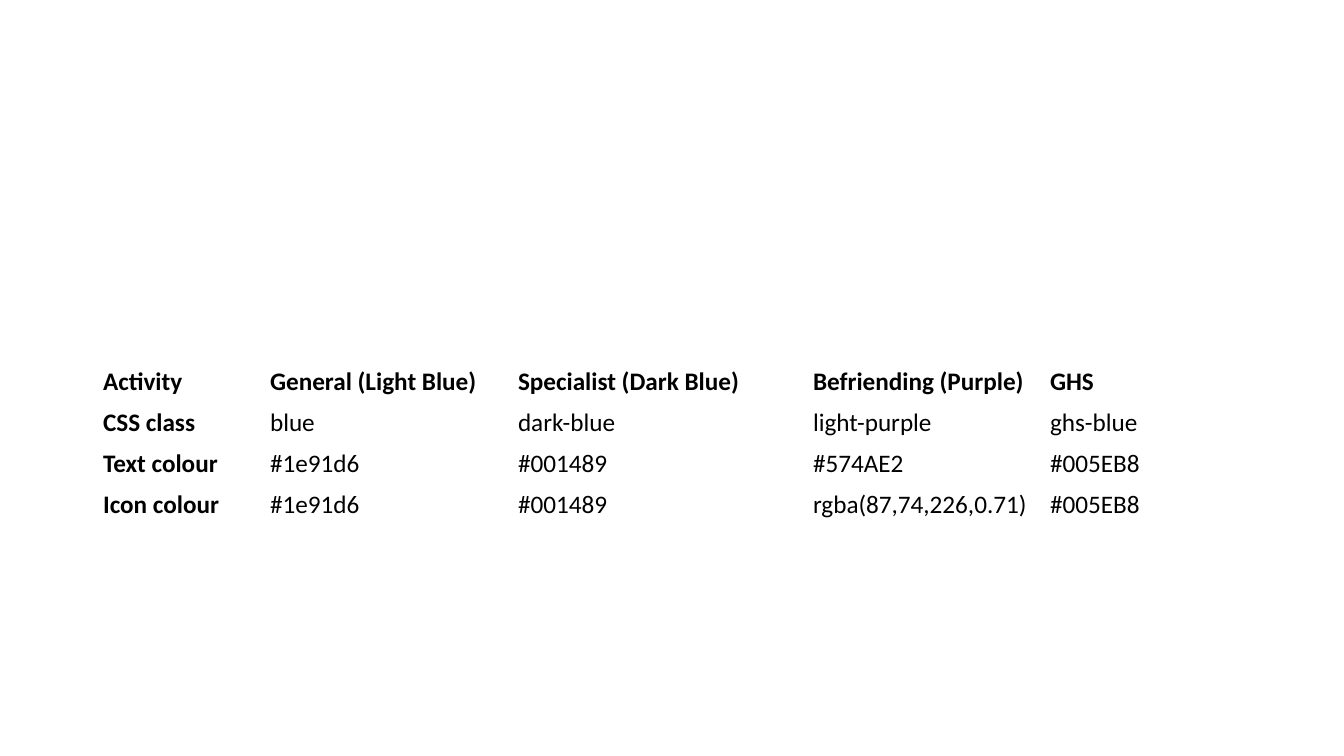
from dataclasses import dataclass

from pptx import Presentation
from pptx.dml.color import RGBColor
from pptx.enum.text import MSO_ANCHOR
from pptx.util import Emu, Pt

MIDDLE = MSO_ANCHOR.MIDDLE
EMU_PER_PIXEL = 914400 / 100.8


@dataclass(frozen=True)
class Theme:
    font: str = "Calibri"
    size: int = 18
    ink: RGBColor = RGBColor(0x00, 0x00, 0x00)


THEME = Theme()

# Colour scheme of each activity
COLOUR_ROWS = [
    ["Activity", "General (Light Blue)", "Specialist (Dark Blue)",
     "Befriending (Purple)", "GHS"],
    ["CSS class", "blue", "dark-blue", "light-purple", "ghs-blue"],
    ["Text colour", "#1e91d6", "#001489", "#574AE2", "#005EB8"],
    ["Icon colour", "#1e91d6", "#001489", "rgba(87,74,226,0.71)", "#005EB8"],
]
COLUMN_WIDTHS = [167, 248, 295, 237, 237]
ROW_HEIGHT = 41


def px(pixels):
    return Emu(round(pixels * EMU_PER_PIXEL))


def fill_cell(cell, text, bold):
    cell.fill.background()
    cell.vertical_anchor = MIDDLE
    cell.text = text
    font = cell.text_frame.paragraphs[0].font
    font.name = THEME.font
    font.size = Pt(THEME.size)
    font.color.rgb = THEME.ink
    font.bold = bold


def add_plain_table(page, left, top, rows, widths, row_height):
    """Add an unfilled table with a bold first row and first column."""
    frame = page.shapes.add_table(
        len(rows), len(widths), px(left), px(top),
        px(sum(widths)), px(row_height * len(rows)))
    table = frame.table
    table.first_row = False
    table.horz_banding = False
    for column, width in zip(table.columns, widths):
        column.width = px(width)
    for row_index, row in enumerate(rows):
        table.rows[row_index].height = px(row_height)
        for column_index, text in enumerate(row):
            is_heading = row_index == 0 or column_index == 0
            fill_cell(table.cell(row_index, column_index), text, is_heading)


def main():
    deck = Presentation()
    deck.slide_width = px(1344)
    deck.slide_height = px(756)
    page = deck.slides.add_slide(deck.slide_layouts[6])

    # Activity colour table
    add_plain_table(page, 93, 361, COLOUR_ROWS, COLUMN_WIDTHS, ROW_HEIGHT)

    deck.save("out.pptx")


main()
